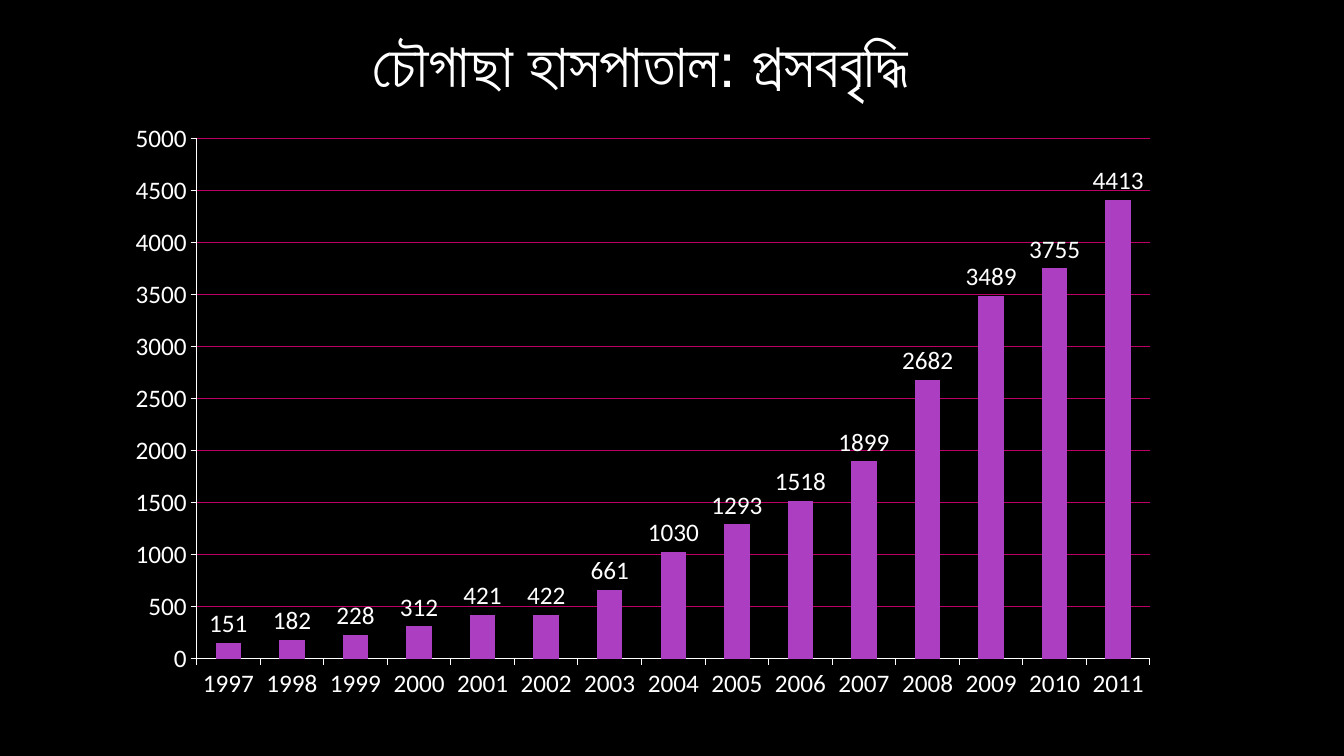
from dataclasses import dataclass

from lxml import etree
from pptx import Presentation
from pptx.chart.data import CategoryChartData
from pptx.dml.color import RGBColor
from pptx.enum.chart import XL_CHART_TYPE, XL_LABEL_POSITION, XL_TICK_MARK
from pptx.enum.text import MSO_ANCHOR, PP_ALIGN
from pptx.oxml.ns import qn
from pptx.util import Pt

COLUMNS = XL_CHART_TYPE.COLUMN_CLUSTERED
OUTSIDE_END = XL_LABEL_POSITION.OUTSIDE_END
TICK_OUTSIDE = XL_TICK_MARK.OUTSIDE
CENTER = PP_ALIGN.CENTER
MIDDLE = MSO_ANCHOR.MIDDLE
TITLE_ONLY = 5

FIRST_YEAR = 1997
DELIVERIES = (151, 182, 228, 312, 421, 422, 661, 1030, 1293, 1518,
              1899, 2682, 3489, 3755, 4413)


@dataclass(frozen=True)
class Theme:
    background: RGBColor = RGBColor(0x00, 0x00, 0x00)
    text: RGBColor = RGBColor(0xFF, 0xFF, 0xFF)
    column: RGBColor = RGBColor(0xAC, 0x3E, 0xC1)
    grid: RGBColor = RGBColor(0xBA, 0x00, 0x66)
    title_font: str = "Arial"
    chart_font: str = "Calibri"
    title_size: int = 44
    chart_size: int = 18


THEME = Theme()


def format_font(font, name, size, color):
    font.name = name
    font.size = Pt(size)
    font.bold = False
    font.color.rgb = color


def write_text(text_frame, text, *, font, size, color, align):
    text_frame.word_wrap = True
    paragraph = text_frame.paragraphs[0]
    paragraph.alignment = align
    run = paragraph.add_run()
    run.text = text
    format_font(run.font, font, size, color)


def set_title(slide, text):
    title = slide.shapes.title
    title.left, title.top = Pt(58.3), Pt(11.5)
    title.width, title.height = Pt(797.8), Pt(114.5)
    title.text_frame.vertical_anchor = MIDDLE
    title.text_frame.margin_bottom = Pt(52)
    write_text(title.text_frame, text, font=THEME.title_font,
               size=THEME.title_size, color=THEME.text, align=CENTER)


def format_line(line, color):
    line.color.rgb = color
    line.width = Pt(0.75)


def format_axis(axis):
    axis.major_tick_mark = TICK_OUTSIDE
    format_line(axis.format.line, THEME.text)


def place_plot(chart, **fractions):
    plot_area = chart.plots[0]._element.getparent()
    for layout in plot_area.findall(qn("c:layout")):
        plot_area.remove(layout)
    layout = etree.Element(qn("c:layout"))
    plot_area.insert(0, layout)
    manual = etree.SubElement(layout, qn("c:manualLayout"))
    settings = {"layoutTarget": "inner", "xMode": "edge", "yMode": "edge"}
    for name, value in {**settings, **fractions}.items():
        etree.SubElement(manual, qn(f"c:{name}"), val=str(value))


def add_column_chart(slide, categories, values):
    data = CategoryChartData()
    data.categories = categories
    data.add_series("Series 1", values)
    frame = slide.shapes.add_chart(
        COLUMNS, Pt(79.9), Pt(82.1), Pt(756.7), Pt(427), data)
    chart = frame.chart
    chart.has_legend = False
    chart.has_title = False
    format_font(chart.font, THEME.chart_font, THEME.chart_size, THEME.text)

    format_axis(chart.category_axis)
    value_axis = chart.value_axis
    format_axis(value_axis)
    value_axis.minimum_scale = 0
    value_axis.maximum_scale = 5000
    value_axis.major_unit = 500
    value_axis.has_major_gridlines = True
    format_line(value_axis.major_gridlines.format.line, THEME.grid)

    plot = chart.plots[0]
    plot.vary_by_categories = False
    plot.gap_width = 150
    fill = plot.series[0].format.fill
    fill.solid()
    fill.fore_color.rgb = THEME.column
    plot.has_data_labels = True
    labels = plot.data_labels
    labels.show_value = True
    labels.position = OUTSIDE_END
    format_font(labels.font, THEME.chart_font, THEME.chart_size, THEME.text)
    place_plot(chart, x=0.08, y=0.04, w=0.9, h=0.87)


def main():
    presentation = Presentation()
    presentation.slide_width = Pt(960)
    presentation.slide_height = Pt(540)
    slide = presentation.slides.add_slide(
        presentation.slide_layouts[TITLE_ONLY])
    slide.background.fill.solid()
    slide.background.fill.fore_color.rgb = THEME.background
    set_title(slide, "চৌগাছা হাসপাতাল: প্রসববৃদ্ধি")
    years = [str(FIRST_YEAR + index) for index in range(len(DELIVERIES))]
    add_column_chart(slide, years, DELIVERIES)
    presentation.save("out.pptx")


if __name__ == "__main__":
    main()
